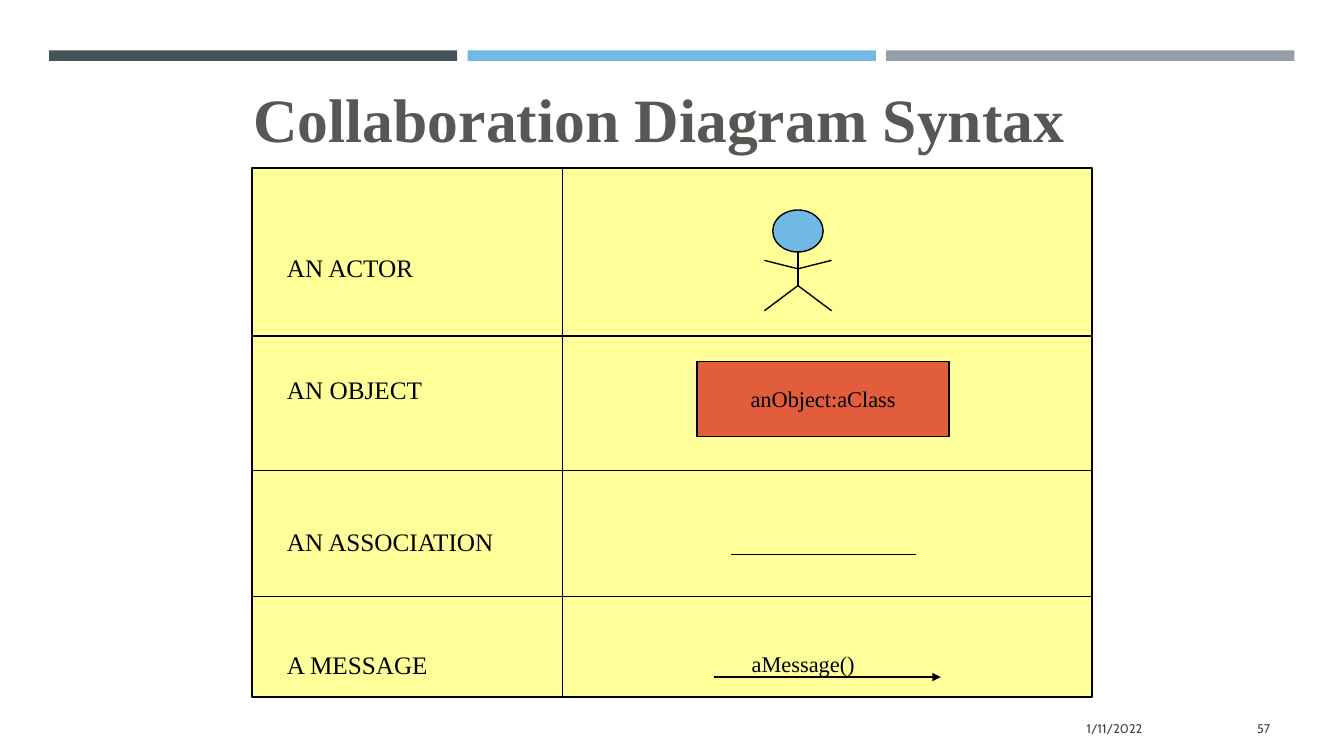
import pptx
import pptx.dml.color
import pptx.enum.shapes
import pptx.enum.text
import pptx.oxml
import pptx.util
from lxml import etree

Pt = pptx.util.Pt
Shape = pptx.enum.shapes.MSO_SHAPE
Align = pptx.enum.text.PP_ALIGN
Anchor = pptx.enum.text.MSO_ANCHOR
SERIF, SANS = "Times New Roman", "Cabin"
BLACK, BLUE = "000000", "71B9E4"


def colour(value):
    return pptx.dml.color.RGBColor.from_string(value)


class Canvas:
    """Draws styled elements on a page or in one of its groups."""

    def __init__(self, page, shapes):
        self.page = page
        self.shapes = shapes

    def group(self):
        return Canvas(self.page, self.shapes.add_group_shape().shapes)

    def place(self, box, left, top, width, height):
        box.left, box.top = Pt(left), Pt(top)
        box.width, box.height = Pt(width), Pt(height)

    def fill_text(self, box, lines, size, font=SERIF, ink=BLACK, align=Align.LEFT,
                  anchor=Anchor.TOP, bold=False, gaps=(0,), wrap=True, inset=0):
        frame = box.text_frame
        frame.word_wrap = wrap
        frame.auto_size = pptx.enum.text.MSO_AUTO_SIZE.NONE
        frame.vertical_anchor = anchor
        frame.margin_left = frame.margin_right = Pt(inset)
        frame.margin_top = frame.margin_bottom = Pt(inset / 2)
        frame.text = "\n".join(lines)
        for para, gap in zip(frame.paragraphs, gaps):
            para.alignment = align
            para.space_before = Pt(gap)
            para.font.size = Pt(size)
            para.font.name = font
            para.font.bold = bold
            para.font.color.rgb = colour(ink)

    def title(self, text, area):
        box = self.page.shapes.title
        self.place(box, *area)
        self.fill_text(box, [text], 44, ink="585753", align=Align.CENTER,
                       anchor=Anchor.BOTTOM, bold=True, inset=7.2)

    def labels(self, lines, area, gaps):
        box = self.page.placeholders[1]
        self.place(box, *area)
        self.fill_text(box, lines, 18, gaps=gaps)
        for para in box.text_frame.paragraphs:
            properties = para._p.get_or_add_pPr()
            properties.set("marL", "0")
            properties.set("indent", "0")
            bullet = properties.makeelement(pptx.oxml.ns.qn("a:buNone"), {})
            properties.insert_element_before(bullet, "a:tabLst", "a:defRPr", "a:extLst")

    def text(self, line, area, size, **style):
        box = self.shapes.add_textbox(*map(Pt, area))
        self.fill_text(box, [line], size, **style)

    def shape(self, kind, area, fill, outlined=True):
        shape = self.shapes.add_shape(kind, *map(Pt, area))
        shape.shadow.inherit = False
        shape.fill.solid()
        shape.fill.fore_color.rgb = colour(fill)
        if outlined:
            shape.line.color.rgb = colour(BLACK)
            shape.line.width = Pt(1)
        else:
            shape.line.fill.background()
        return shape

    def line(self, start, end, arrow=False):
        line = self.shapes.add_connector(
            pptx.enum.shapes.MSO_CONNECTOR.STRAIGHT, *map(Pt, (*start, *end)))
        line.line.color.rgb = colour(BLACK)
        line.line.width = Pt(1)
        if arrow:
            etree.SubElement(line.line._get_or_add_ln(),
                             pptx.oxml.ns.qn("a:tailEnd"), type="triangle")
        etree.SubElement(line._element.spPr, pptx.oxml.ns.qn("a:effectLst"))


def main():
    deck = pptx.Presentation()
    deck.slide_width, deck.slide_height = Pt(960), Pt(540)
    page = deck.slides.add_slide(deck.slide_layouts[1])
    canvas = Canvas(page, page.shapes)

    # Header bars
    for index, fill in enumerate(("465359", BLUE, "969FA7")):
        canvas.shape(Shape.RECTANGLE, (35 + 299 * index, 36, 291.6, 7.5), fill, False)

    # Syntax grid
    left, top, right, bottom, divider = 180, 120, 780, 498, 402
    canvas.shape(Shape.RECTANGLE, (left, top, right - left, bottom - top), "FFFF99")
    canvas.line((divider, top), (divider, bottom))
    for y in (240, 336, 426):
        canvas.line((left, y), (right, y))

    # Actor
    actor = canvas.group()
    centre, shoulder, hip = 570, 192, 204
    actor.shape(Shape.OVAL, (centre - 18, 150, 36, 30), BLUE)
    actor.line((centre, 180), (centre, hip))
    for side in (-24, 24):
        actor.line((centre, shoulder), (centre + side, 186))
        actor.line((centre, hip), (centre + side, 222))

    # Object
    sample = canvas.shape(Shape.RECTANGLE, (498, 258, 180, 54), "E25D3C")
    canvas.fill_text(sample, ["anObject:aClass"], 16, align=Align.CENTER,
                     anchor=Anchor.MIDDLE, wrap=False)

    # Association and message
    canvas.line((522, 396), (654, 396))
    message = canvas.group()
    message.line((510, 483.6), (672, 483.6), arrow=True)
    message.text("aMessage()", (537, 464.4, 83, 19), 16, wrap=False)

    # Title and row labels; the placeholders move in front of the grid
    for holder in list(page.placeholders):
        page.shapes._spTree.append(holder._element)
    canvas.title("Collaboration Diagram Syntax", (165, 24, 612, 90))
    canvas.labels(["AN ACTOR", "AN OBJECT", "AN ASSOCIATION", "A MESSAGE"],
                  (205, 180, 190, 304), (0, 65.7, 87.3, 65.7))

    # Date and page number
    for words, area in (("1/11/2022", (599, 506, 224, 29)), ("57", (831.6, 506, 82.8, 29))):
        canvas.text(words, area, 9, font=SANS, ink="404040", align=Align.RIGHT,
                    anchor=Anchor.MIDDLE, inset=7.2)

    deck.save("out.pptx")


if __name__ == "__main__":
    main()
